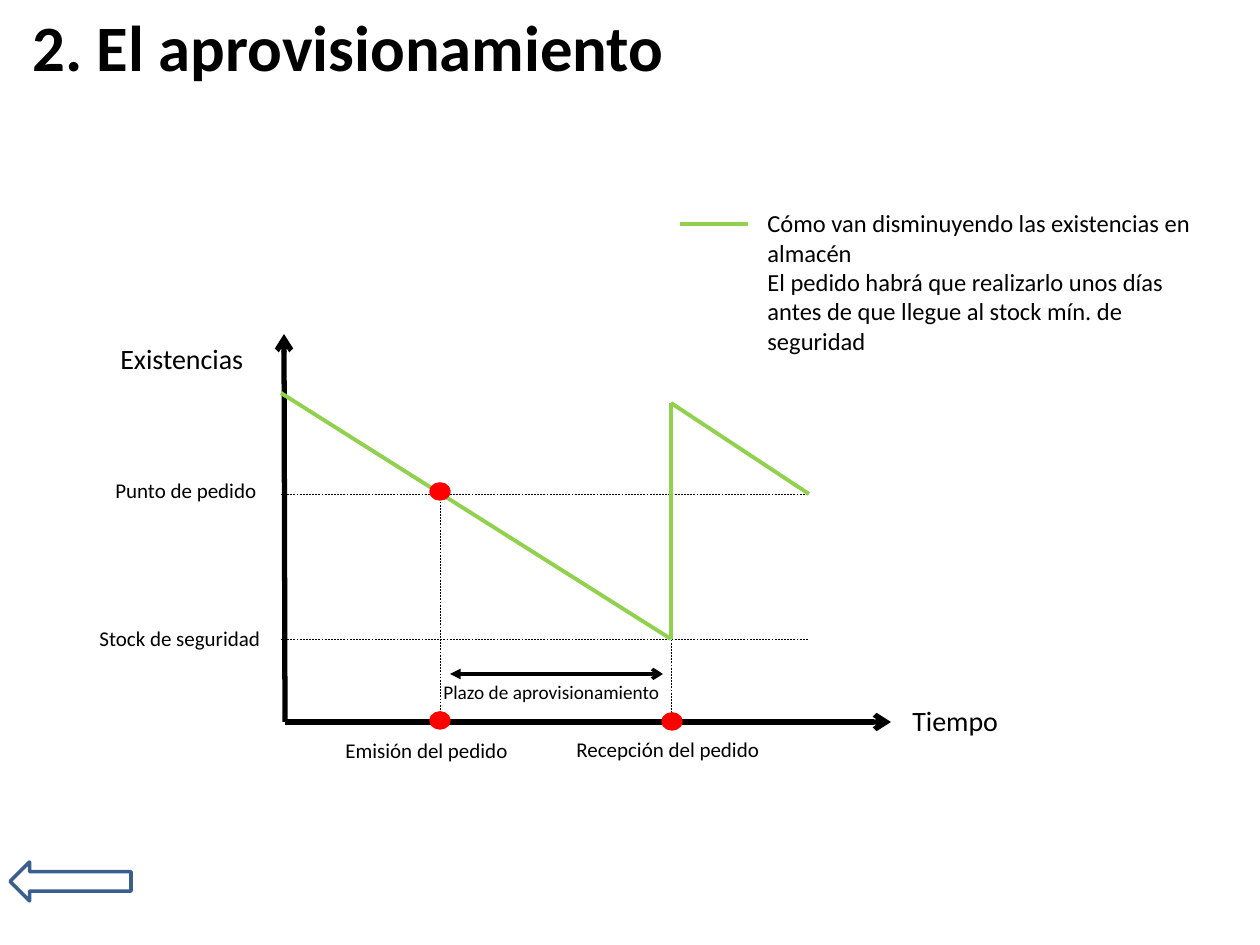
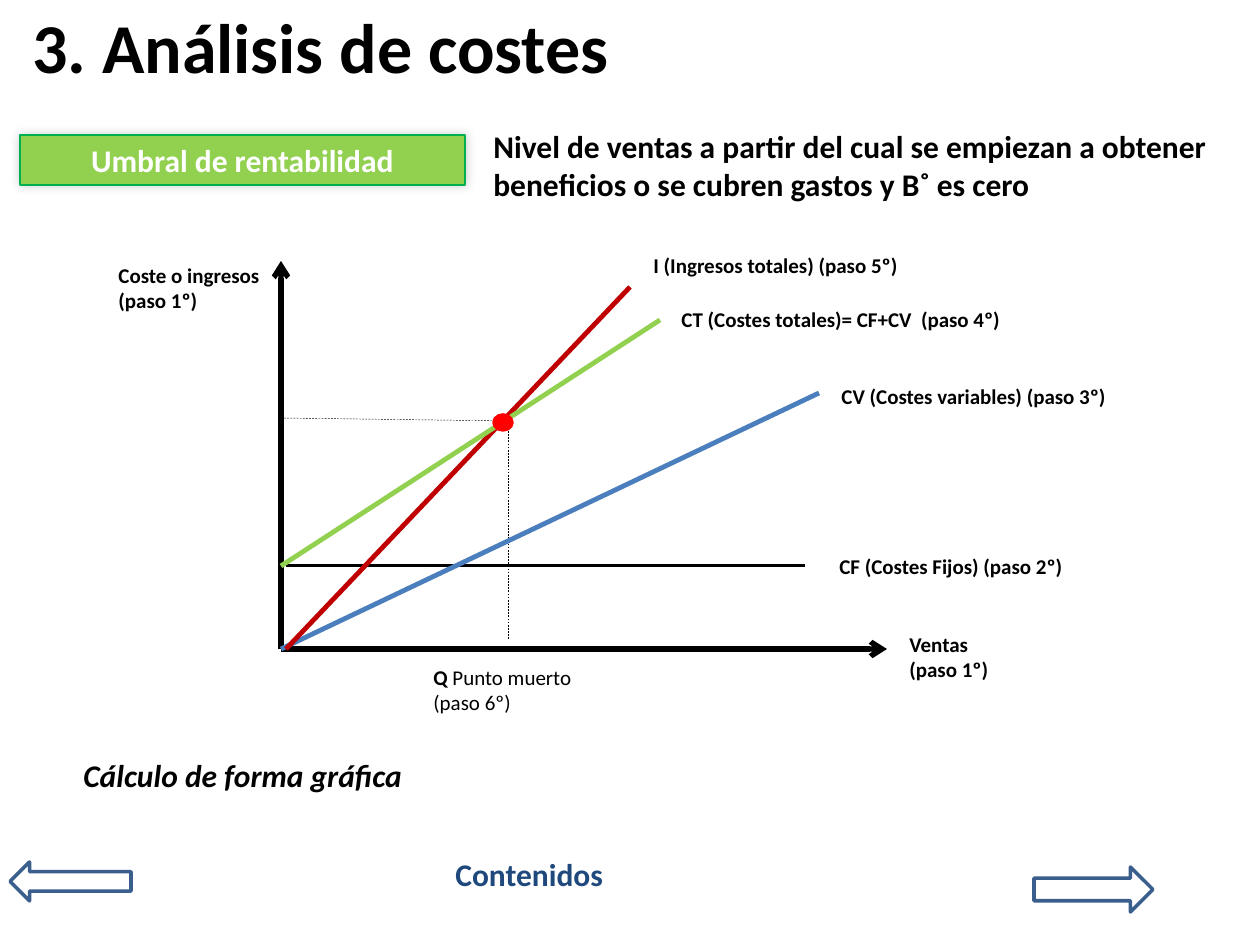
from lxml import etree
from pptx import Presentation
from pptx.dml.color import RGBColor
from pptx.enum.dml import MSO_LINE
from pptx.enum.shapes import MSO_CONNECTOR, MSO_SHAPE
from pptx.enum.text import MSO_ANCHOR, PP_ALIGN
from pptx.oxml import parse_xml
from pptx.oxml.ns import nsdecls, qn
from pptx.util import Pt

PX = 914400 / 126  # EMU per pixel
FONT = "Calibri"
BLACK, WHITE, RED, GREEN = "000000", "FFFFFF", "FF0000", "92D050"
NAVY, BLUE, DARK_RED, OUTLINE = "1F497D", "4B7EBC", "C00000", "3A5F8C"
color = RGBColor.from_string


def add_text(slide, box, text, size, bold=False, hue=BLACK):
    shape = slide.shapes.add_textbox(*[round(v * PX) for v in box])
    text_frame = shape.text_frame
    text_frame.word_wrap = True
    text_frame.text = text
    for paragraph in text_frame.paragraphs:
        for run in paragraph.runs:
            run.font.name, run.font.size = FONT, Pt(size)
            run.font.bold = bold
            run.font.color.rgb = color(hue)
    return shape


def add_line(slide, points, hue, width, dashed=False, head=None, tail=None):
    line = slide.shapes.add_connector(MSO_CONNECTOR.STRAIGHT, *[round(v * PX) for v in points])
    line.line.color.rgb = color(hue)
    line.line.width = Pt(width)
    if dashed:
        line.line.dash_style = MSO_LINE.DASH
    properties = line._element.spPr
    outline = properties.find(qn("a:ln"))
    for tag, kind in (("a:headEnd", head), ("a:tailEnd", tail)):
        if kind:
            etree.SubElement(outline, qn(tag), type=kind)
    etree.SubElement(properties, qn("a:effectLst"))


presentation = Presentation()
presentation.slide_width = round(1260 * PX)
presentation.slide_height = round(945 * PX)
BACK = (MSO_SHAPE.LEFT_ARROW, (10, 862, 121, 39))
NEXT = (MSO_SHAPE.RIGHT_ARROW, (1034, 867, 119, 45))

# Each page: title, its size, navigation arrows, axes, guides, curves, dot corners
pages = [
    dict(
        title="2. El aprovisionamiento", size=37, arrows=[BACK],
        axes=[(285, 722, 284, 334), (285, 722, 891, 722)],
        guides=[(440, 486, 440, 721), (671, 499, 671, 730),
                (281, 494, 809, 494), (281, 639, 809, 639)],
        curves=[((281, 393, 671, 639), GREEN, 2.25), ((671, 639, 671, 403), GREEN, 2.25),
                ((671, 403, 809, 494), GREEN, 2.25), ((680, 224, 748, 224), GREEN, 2.25)],
        dots=[(431, 713), (663, 714), (431, 484)],
        labels=[((108, 335, 164, 47), "Existencias", 16),
                ((900, 697, 129, 47), "Tiempo", 16),
                ((333, 731, 198, 38), "Emisión del pedido", 12),
                ((564, 730, 214, 38), "Recepción del pedido", 12),
                ((755, 202, 449, 161),
                 "Cómo van disminuyendo las existencias en almacén\n"
                 "El pedido habrá que realizarlo unos días antes de que llegue "
                 "al stock mín. de seguridad", 14),
                ((431, 674, 272, 37), "Plazo de aprovisionamiento", 11),
                ((103, 471, 179, 38), "Punto de pedido", 12),
                ((87, 619, 198, 38), "Stock de seguridad", 12)],
    ),
    dict(
        title="3. Análisis de costes", size=40, arrows=[BACK, NEXT],
        axes=[(281, 649, 281, 261), (281, 649, 887, 649)],
        guides=[(508, 428, 508, 639), (281, 418, 508, 421)],
        curves=[((286, 566, 805, 566), BLACK, 1.75), ((281, 649, 819, 393), BLUE, 2.75),
                ((286, 649, 630, 287), DARK_RED, 2.75), ((281, 566, 660, 320), GREEN, 2.75)],
        dots=[(494, 415)],
        labels=[((481, 121, 762, 89),
                 "Nivel de ventas a partir del cual se empiezan a obtener beneficios "
                 "o se cubren gastos y B˚ es cero", 18, True),
                ((443, 849, 181, 50), "Contenidos", 18, True, NAVY),
                ((106, 256, 173, 63), "Coste o ingresos (paso 1º)", 12, True),
                ((897, 625, 129, 63), "Ventas (paso 1º)", 12, True),
                ((641, 246, 295, 38), "I (Ingresos totales) (paso 5º)", 12, True),
                ((669, 300, 425, 38), "CT (Costes totales)= CF+CV  (paso 4º)", 12, True),
                ((829, 377, 324, 38), "CV (Costes variables) (paso 3º)", 12, True),
                ((827, 547, 267, 38), "CF (Costes Fijos) (paso 2º)", 12, True)],
    ),
]

for page in pages:
    slide = presentation.slides.add_slide(presentation.slide_layouts[6])

    # Title and navigation arrows
    title = add_text(slide, (20, 6, 1184, 79), page["title"], page["size"], True)
    title.text_frame.vertical_anchor = MSO_ANCHOR.MIDDLE
    for preset, box in page["arrows"]:
        arrow = slide.shapes.add_shape(preset, *[round(v * PX) for v in box])
        arrow.shadow.inherit = False
        arrow.fill.background()
        arrow.line.color.rgb = color(OUTLINE)
        arrow.line.width = Pt(2)

    # Graph
    for points in page["axes"]:
        add_line(slide, points, BLACK, 3, tail="arrow")
    for points in page["guides"]:
        add_line(slide, points, BLACK, 0.25, dashed=True)
    for label in page["labels"]:
        add_text(slide, *label)
    for points, hue, width in page["curves"]:
        add_line(slide, points, hue, width)
    for left, top in page["dots"]:
        dot = slide.shapes.add_shape(MSO_SHAPE.OVAL, *[round(v * PX) for v in (left, top, 18, 15)])
        dot.shadow.inherit = False
        dot.fill.solid()
        dot.fill.fore_color.rgb = color(RED)
        dot.line.color.rgb = color(RED)
        dot.line.width = Pt(2)

supply, costs = presentation.slides

# Supply: lead time between order and delivery
add_line(supply, (450, 674, 663, 674), BLACK, 2, head="triangle", tail="arrow")

# Costs: heading band with a soft shadow
band = costs.shapes.add_shape(MSO_SHAPE.RECTANGLE, *[round(v * PX) for v in (20, 135, 445, 50)])
band.shadow.inherit = False
band.fill.solid()
band.fill.fore_color.rgb = color(GREEN)
band.line.color.rgb = color("00B050")
band.line.width = Pt(0.75)
band._element.spPr.find(qn("a:effectLst")).append(parse_xml(
    f'<a:outerShdw {nsdecls("a")} blurRad="{Pt(6)}" dist="0" rotWithShape="0">'
    f'<a:srgbClr val="{BLACK}"><a:alpha val="20000"/></a:srgbClr></a:outerShdw>'))
band.text_frame.text = "Umbral de rentabilidad"
paragraph = band.text_frame.paragraphs[0]
paragraph.alignment = PP_ALIGN.CENTER
font = paragraph.runs[0].font
font.name, font.size, font.bold = FONT, Pt(18), True
font.color.rgb = color(WHITE)

# Costs: break-even label and caption
break_even = add_text(costs, (421, 658, 198, 63), "Q", 12, True)
run = break_even.text_frame.paragraphs[0].add_run()
run.text = " Punto muerto (paso 6º)"
run.font.name, run.font.size = FONT, Pt(12)
run.font.color.rgb = color(BLACK)
caption = add_text(costs, (71, 750, 433, 50), "Cálculo de forma gráfica", 18, True)
caption.text_frame.paragraphs[0].runs[0].font.italic = True

presentation.save("out.pptx")
